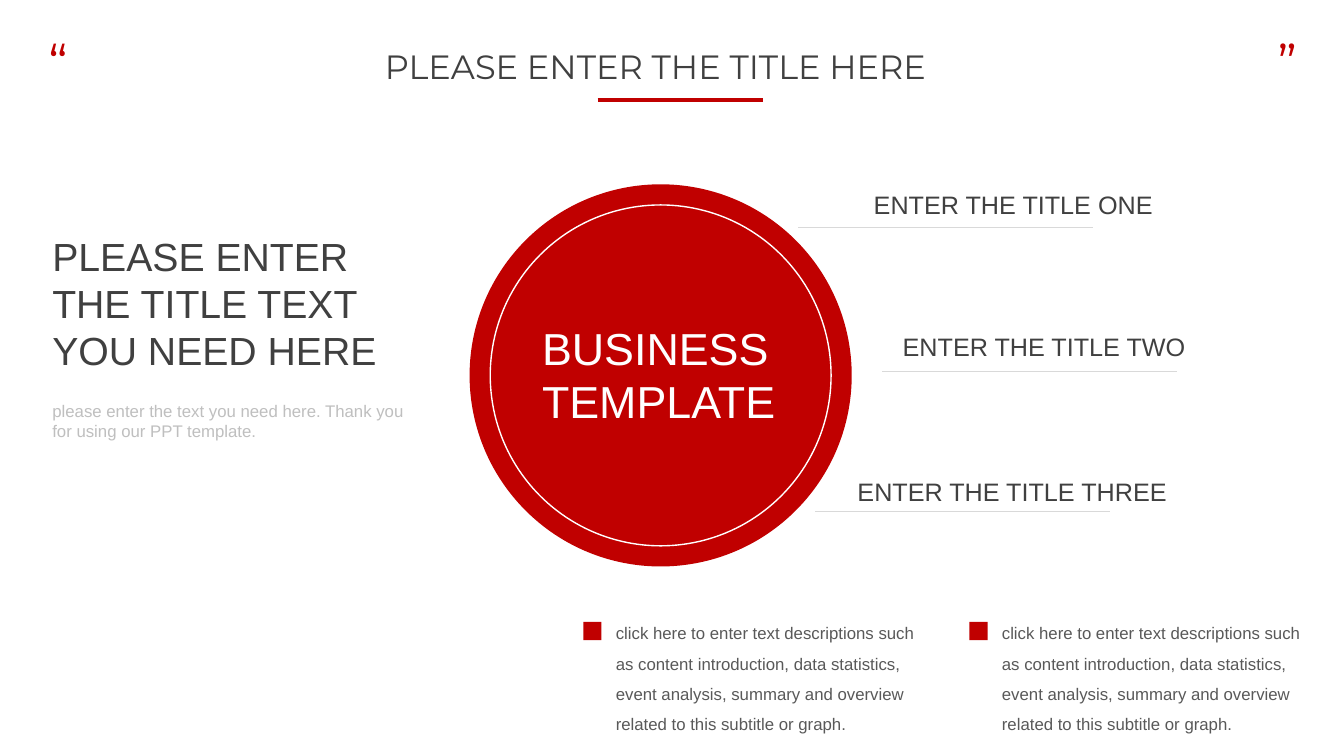
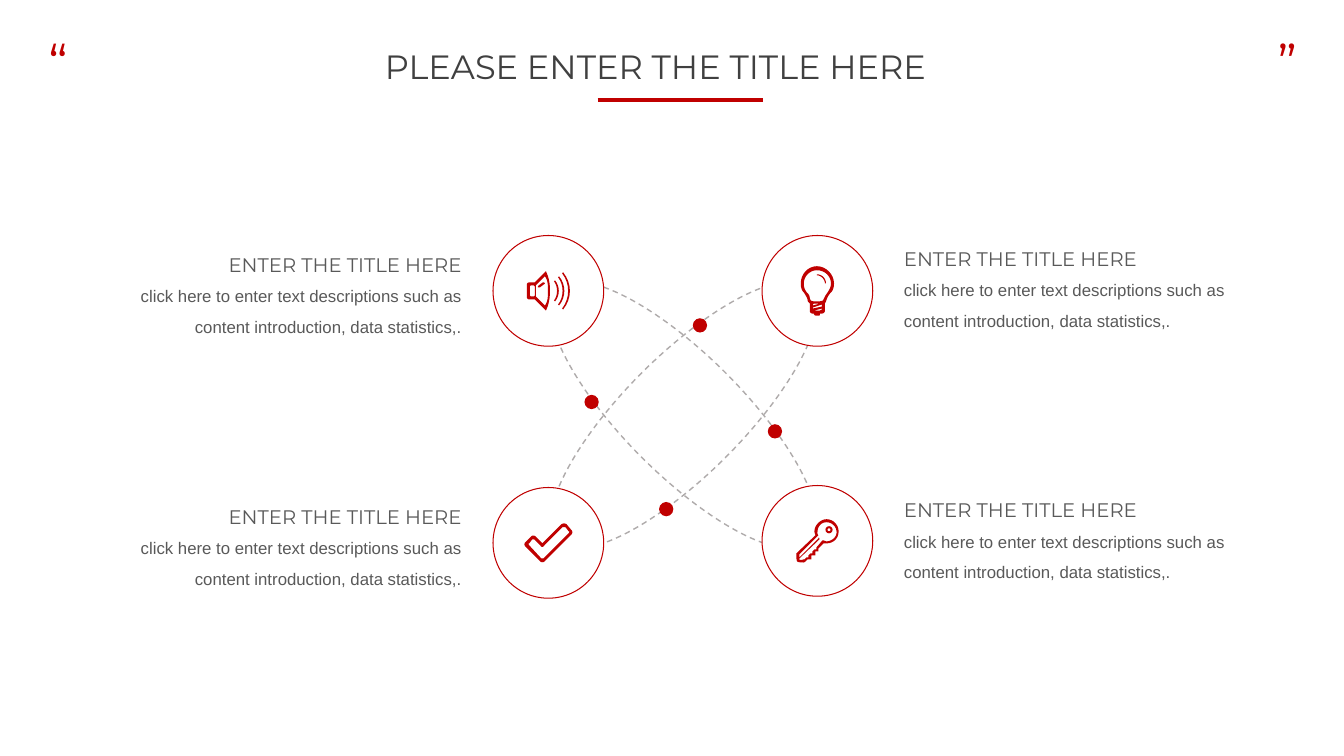
"""Build a two-page red and grey business deck."""
from dataclasses import dataclass
from typing import Sequence

from lxml.etree import SubElement
from pptx import Presentation
from pptx.dml.color import RGBColor
from pptx.enum.dml import MSO_LINE_DASH_STYLE as Dash
from pptx.enum.shapes import MSO_CONNECTOR_TYPE as Connector
from pptx.enum.shapes import MSO_SHAPE as Preset
from pptx.enum.text import MSO_AUTO_SIZE as AutoSize
from pptx.enum.text import PP_ALIGN as Align
from pptx.oxml.ns import qn
from pptx.util import Cm, Pt

COLORS = {
    "red": "C00000",
    "white": "FFFFFF",
    "heading": "404040",
    "body": "595959",
    "muted": "BFBFBF",
    "rule": "D9D9D9",
    "orbit": "AFABAB",
}
PLAIN, DISPLAY = "Arial", "Montserrat"
ICON_UNIT = 0.0254
CURVE_STEPS = 8

Point = tuple[float, float]
Contour = list[tuple[float, ...]]


@dataclass(frozen=True)
class Style:
    font: str
    size: int
    color: str


@dataclass(frozen=True)
class Label:
    text: str
    left: float
    top: float
    width: float
    rule_left: float
    rule_top: float


@dataclass(frozen=True)
class Topic:
    icon: list[Contour]
    x: float
    y: float
    text_left: float
    text_top: float
    align: Align


TITLE = Style(DISPLAY, 24, "heading")
QUOTE = Style(DISPLAY, 36, "red")
HERO = Style(PLAIN, 32, "white")
HEADING = Style(PLAIN, 28, "heading")
LABEL = Style(PLAIN, 18, "heading")
CAPTION = Style(PLAIN, 12, "muted")
BODY = Style(PLAIN, 12, "body")
TOPIC_TITLE = Style(DISPLAY, 14, "body")

NOTE_TEXT = ("click here to enter text descriptions such as content introduction, data statistics, "
             "event analysis, summary and overview related to this subtitle or graph.")
TOPIC_TEXT = "click here to enter text descriptions such as content introduction, data statistics,."


def circle(x: float, y: float, radius: float) -> Contour:
    """Return a circle as four curves."""
    k = radius * 0.55
    r = radius
    return [(x + r, y), (x + r, y + k, x + k, y + r, x, y + r),
            (x - k, y + r, x - r, y + k, x - r, y),
            (x - r, y - k, x - k, y - r, x, y - r),
            (x + k, y - r, x + r, y - k, x + r, y)]


def sound_wave(index: int) -> Contour:
    """Return one of the widening arcs beside the speaker."""
    x, top, bottom = 28 + 4 * index, 9 - 4 * index, 30 + 4 * index
    bulge, bend = x + 5 + 2 * index, 6 + 2.5 * index
    return [(x, top), (bulge, top + bend, bulge, bottom - bend, x, bottom), (x - 1, bottom - 1),
            (bulge - 2, bottom - bend, bulge - 2, top + bend, x - 1, top + 1)]


SPEAKER: list[Contour] = [
    [(8, 28), (3, 28), (1, 28, 0, 27, 0, 25), (0, 14), (0, 12, 1, 11, 3, 11), (8, 11),
     (19, 0), (22, 6, 23, 13, 23, 19), (23, 26, 22, 33, 19, 39)],
    [(18, 5), (9, 14), (9, 25), (18, 34), (21, 30, 21, 25, 21, 19), (21, 14, 21, 9, 18, 5)],
    [(7, 14), (4, 14), (3, 15), (3, 24), (4, 25), (7, 25), (8, 24), (8, 15)],
    [(17, 13), (13, 16), (12, 16, 11, 16, 11, 16), (11, 15, 11, 15, 12, 14), (16, 11),
     (17, 11, 17, 11, 18, 12)],
    *(sound_wave(index) for index in range(3)),
]
BULB: list[Contour] = [
    [(30, 26), (27, 29, 26, 32, 25, 35), (24, 37), (24, 44), (24, 46, 22, 47, 21, 47), (19, 47),
     (19, 48, 19, 49, 18, 49), (15, 49), (14, 49, 13, 48, 13, 47), (12, 47),
     (10, 47, 9, 46, 9, 44), (9, 37), (7, 35), (7, 32, 5, 29, 3, 26), (1, 24, 0, 21, 0, 17),
     (0, 8, 7, 0, 16, 0), (25, 0, 33, 8, 33, 17), (33, 21, 32, 24, 30, 26)],
    [(16, 4), (9, 4, 3, 10, 3, 17), (3, 21, 4, 24, 7, 27), (8, 28, 9, 30, 9, 32), (10, 34),
     (12, 35, 14, 35, 16, 35), (20, 35, 22, 34, 22, 34), (23, 32), (24, 30, 25, 28, 26, 27),
     (28, 24, 30, 21, 30, 17), (30, 10, 24, 4, 16, 4)],
    [(24, 17), (24, 13, 20, 9, 16, 9), (16, 8), (21, 8, 25, 12, 25, 17)],
    [(12, 39), (19, 37), (13, 37), (12, 38)],
    [(12, 42), (21, 40), (21, 38), (12, 41)],
    [(13, 44), (19, 44), (21, 43), (21, 42)],
]
KEY: list[Contour] = [
    [(30, 24), (27, 24), (22, 29), (22, 32), (19, 32), (19, 36), (15, 36), (15, 40), (11, 40),
     (9, 42), (8, 43, 7, 43, 7, 43), (7, 43, 2, 43, 1, 42), (0, 41, 0, 36, 0, 36), (0, 34),
     (19, 16), (19, 15, 18, 14, 18, 12), (18, 6, 24, 0, 30, 0), (37, 0, 42, 6, 42, 12),
     (42, 19, 37, 24, 30, 24)],
    [(30, 3), (25, 3, 21, 7, 21, 13), (21, 14, 21, 15, 22, 16), (3, 35), (3, 38), (22, 19),
     (22, 18, 23, 18, 23, 20), (3, 39), (3, 40), (4, 41, 7, 40, 7, 40), (8, 40), (10, 38),
     (12, 38), (12, 36), (14, 34), (16, 34), (16, 32), (18, 30), (20, 30), (20, 28), (26, 21),
     (28, 21, 29, 22, 30, 22), (35, 22, 40, 18, 40, 13), (40, 7, 35, 3, 30, 3)],
    circle(32.5, 10.5, 3.5),
    circle(32.5, 10.5, 1.5),
]
CHECK: list[Contour] = [
    [(46, 11), (19, 38), (18, 39, 16, 39, 15, 38), (0, 23), (-1, 22, -1, 20, 0, 19), (6, 13),
     (7, 12, 9, 12, 10, 13), (17, 20), (36, 1), (38, 0, 39, 0, 41, 1), (46, 7),
     (47, 8, 47, 10, 46, 11)],
    [(43, 8), (40, 4), (39, 4, 38, 4, 37, 4), (19, 22), (18, 24, 16, 24, 15, 22), (9, 16),
     (9, 16, 8, 16, 7, 16), (4, 20), (3, 20, 3, 21, 4, 22), (16, 35), (17, 35, 18, 35, 18, 35),
     (22, 31), (43, 10), (44, 9, 44, 8, 43, 8)],
]

LABELS = (
    Label("ENTER THE TITLE ONE", 21.77, 4.65, 7.62, 20.12, 5.72),
    Label("ENTER THE TITLE TWO", 22.5, 8.23, 7.72, 22.23, 9.37),
    Label("ENTER THE TITLE THREE", 21.36, 11.89, 8.38, 20.55, 12.88),
)
TOPICS = (
    Topic(SPEAKER, 13.82, 7.33, 2.29, 5.94, Align.RIGHT),
    Topic(BULB, 20.6, 7.33, 22.53, 5.79, Align.LEFT),
    Topic(KEY, 20.6, 13.63, 22.53, 12.12, Align.LEFT),
    Topic(CHECK, 13.82, 13.68, 2.29, 12.29, Align.RIGHT),
)
DOTS = ((14.91, 10.13), (19.53, 10.87), (16.79, 12.83), (17.64, 8.2))


def rgb(name: str) -> RGBColor:
    """Look up a colour by name."""
    return RGBColor.from_string(COLORS[name])


def add_text(page, lines: Sequence[tuple[str, Style]], left: float, top: float, width: float,
             height: float, wrap: bool = False, spacing: float = 1.0,
             align: Align = Align.LEFT) -> None:
    """Add a text box with one styled paragraph per line."""
    box = page.shapes.add_textbox(Cm(left), Cm(top), Cm(width), Cm(height))
    frame = box.text_frame
    frame.text = "\n".join(text for text, _ in lines)
    frame.word_wrap = wrap
    frame.auto_size = AutoSize.SHAPE_TO_FIT_TEXT
    for para, (_, style) in zip(frame.paragraphs, lines):
        para.alignment = align
        para.line_spacing = spacing
        for span in para.runs:
            span.font.name = style.font
            span.font.size = Pt(style.size)
            span.font.color.rgb = rgb(style.color)


def paint(shape, fill: str | None, line: str | None = None, weight: float = 1) -> None:
    """Set the fill and outline of a shape and drop its shadow."""
    shape.shadow.inherit = False
    if fill:
        shape.fill.solid()
        shape.fill.fore_color.rgb = rgb(fill)
    else:
        shape.fill.background()
    if line:
        shape.line.color.rgb = rgb(line)
        shape.line.width = Pt(weight)
    else:
        shape.line.fill.background()


def add_centred(page, preset: Preset, x: float, y: float, width: float, height: float,
                fill: str | None, line: str | None = None, weight: float = 1):
    """Add a preset shape around a centre point."""
    shape = page.shapes.add_shape(preset, Cm(x - width / 2), Cm(y - height / 2),
                                  Cm(width), Cm(height))
    paint(shape, fill, line, weight)
    return shape


def add_rule(page, left: float, top: float, length: float, color: str, weight: float) -> None:
    """Add a horizontal line."""
    rule = page.shapes.add_connector(Connector.STRAIGHT, Cm(left), Cm(top),
                                     Cm(left + length), Cm(top))
    rule.line.color.rgb = rgb(color)
    rule.line.width = Pt(weight)
    SubElement(rule._element.spPr, qn("a:effectLst"))


def flatten(contour: Contour) -> list[Point]:
    """Turn points and cubic curves into a list of points."""
    points: list[Point] = []
    for step in contour:
        if len(step) == 2:
            points.append((step[0], step[1]))
            continue
        (x0, y0), (x1, y1, x2, y2, x3, y3) = points[-1], step
        for index in range(1, CURVE_STEPS + 1):
            t = index / CURVE_STEPS
            a, b, c, d = (1 - t) ** 3, 3 * t * (1 - t) ** 2, 3 * t * t * (1 - t), t ** 3
            points.append((a * x0 + b * x1 + c * x2 + d * x3, a * y0 + b * y1 + c * y2 + d * y3))
    return points


def add_icon(page, icon: list[Contour], x: float, y: float) -> None:
    """Draw an icon centred on a point."""
    outlines = [flatten(contour) for contour in icon]
    xs, ys = zip(*(point for outline in outlines for point in outline))
    middle_x, middle_y = (min(xs) + max(xs)) / 2, (min(ys) + max(ys)) / 2
    placed = [[(Cm(x + (px - middle_x) * ICON_UNIT), Cm(y + (py - middle_y) * ICON_UNIT))
               for px, py in outline] for outline in outlines]
    builder = page.shapes.build_freeform(*placed[0][0])
    for index, outline in enumerate(placed):
        if index:
            builder.move_to(*outline[0])
        builder.add_line_segments(outline[1:], close=True)
    paint(builder.convert_to_shape(), "red")


def add_page(deck):
    """Add a blank page with quote marks, title and title rule."""
    page = deck.slides.add_slide(deck.slide_layouts[6])
    for mark, left in (("“", 0.97), ("”", 31.95)):
        add_text(page, [(mark, QUOTE)], left, 0.66, 1.14, 1.8)
    add_text(page, [("PLEASE ENTER THE TITLE HERE", TITLE)], 9.45, 1.04, 15.93, 1.27)
    add_rule(page, 15.06, 2.53, 4.17, "red", 3)
    return page


def build_hub_page(deck) -> None:
    """Build the page with the large circle and three labels."""
    page = add_page(deck)
    add_centred(page, Preset.OVAL, 16.65, 9.46, 9.63, 9.63, "red")
    add_centred(page, Preset.OVAL, 16.65, 9.46, 8.59, 8.59, None, "white")
    add_text(page, [("BUSINESS", HERO), ("TEMPLATE", HERO)], 13.41, 7.95, 6.45, 3)
    heading = ("PLEASE ENTER", "THE TITLE TEXT", "YOU NEED HERE")
    add_text(page, [(text, HEADING) for text in heading], 1.07, 5.72, 8.76, 3.84)
    caption = "please enter the text you need here. Thank you for using our PPT template."
    add_text(page, [(caption, CAPTION)], 1.07, 9.98, 9.7, 1.27, wrap=True)
    for label in LABELS:
        add_rule(page, label.rule_left, label.rule_top, 7.42, "rule", 0.5)
        add_text(page, [(label.text, LABEL)], label.left, label.top, label.width, 1.02)
    for left in (15.27, 25):
        add_centred(page, Preset.RECTANGLE, left - 0.34, 15.9, 0.46, 0.46, "red")
        add_text(page, [(NOTE_TEXT, BODY)], left, 15.32, 8.28, 3.25, wrap=True, spacing=1.5)


def build_orbit_page(deck) -> None:
    """Build the page with crossed orbits and four icon topics."""
    page = add_page(deck)
    for angle in (315, 225):
        orbit = add_centred(page, Preset.OVAL, 17.23, 10.46, 9.02, 3, None, "orbit")
        orbit.line.dash_style = Dash.DASH
        orbit.rotation = angle
    for x, y in DOTS:
        add_centred(page, Preset.OVAL, x, y, 0.36, 0.36, "red")
    for topic in TOPICS:
        add_centred(page, Preset.OVAL, topic.x, topic.y, 2.79, 2.79, "white", "red", 0.75)
        add_icon(page, topic.icon, topic.x, topic.y)
        add_text(page, [("ENTER THE TITLE HERE", TOPIC_TITLE), (TOPIC_TEXT, BODY)],
                 topic.text_left, topic.text_top, 9.6, 2.59, True, 1.5, topic.align)


def main() -> None:
    """Build and save the deck."""
    deck = Presentation()
    deck.slide_width, deck.slide_height = Cm(33.87), Cm(19.05)
    build_hub_page(deck)
    build_orbit_page(deck)
    deck.save("out.pptx")


if __name__ == "__main__":
    main()
